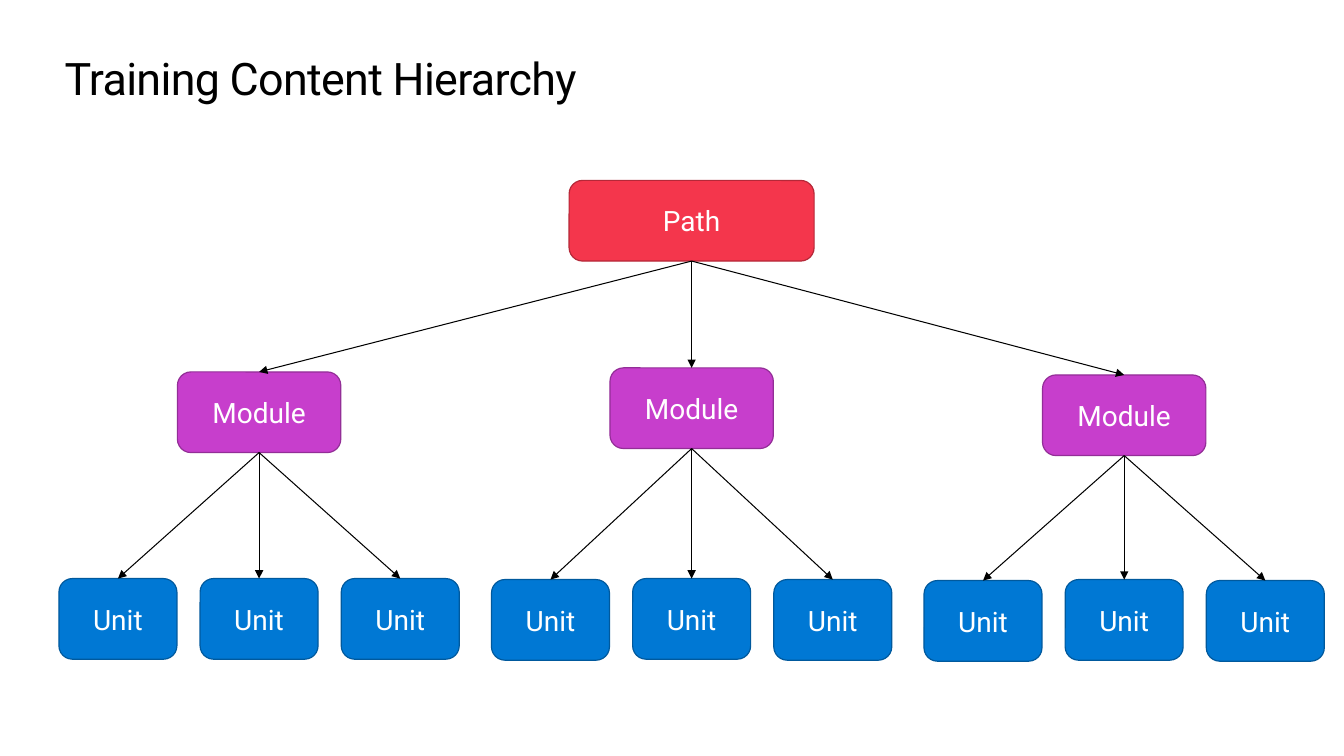
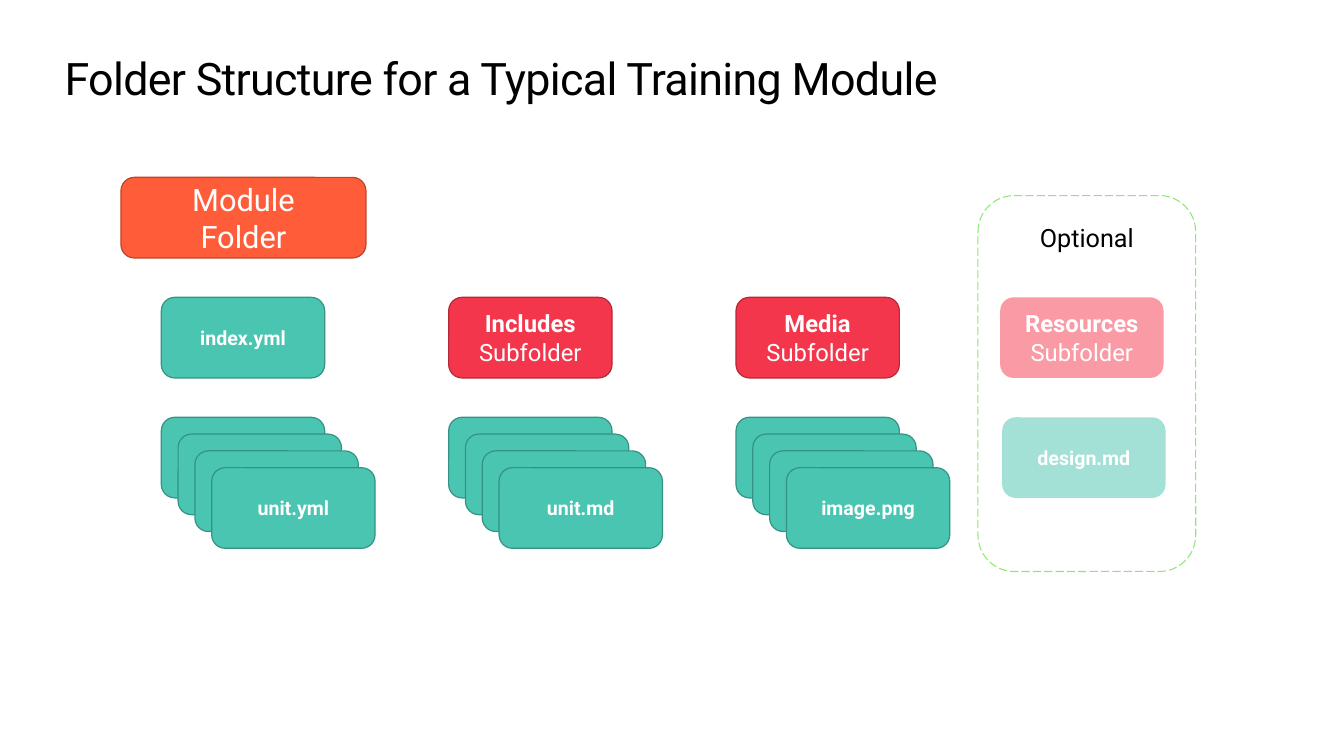
from lxml.etree import SubElement as Sub
from pptx import Presentation
from pptx.dml.color import RGBColor
from pptx.enum.dml import MSO_LINE as Dash
from pptx.enum.shapes import MSO_CONNECTOR as Conn, MSO_SHAPE as Geo
from pptx.enum.text import MSO_ANCHOR as Anchor, PP_ALIGN as Align
from pptx.oxml.ns import qn
from pptx.util import Inches, Pt

FONT = "Roboto"
BLACK, WHITE, LIME = "000000", "FFFFFF", "8DE971"
# Each style is a fill and its border
RED = ("F4364C", "B52838")
PURPLE = ("C73ECC", "932E97")
BLUE = ("0078D4", "00599D")
ORANGE = ("FF5C39", "BD442A")
TEAL = ("49C5B1", "369283")
HIGH, WIDE, MID, SLIM = 0.8, 2.43, 1.62, 1.17


def paint(target, color):
    """Give a fill a solid colour."""
    target.solid()
    target.fore_color.rgb = RGBColor.from_string(color)


def write(frame, text, size=20, color=WHITE, bold=0, align=Align.CENTER,
          anchor=Anchor.MIDDLE, pad=(0.2, 0.16), track=None):
    """Write one paragraph; the first `bold` lines are bold."""
    frame.word_wrap = True
    frame.vertical_anchor = anchor
    frame.margin_left = frame.margin_right = Inches(pad[0])
    frame.margin_top = frame.margin_bottom = Inches(pad[1])
    para = frame.paragraphs[0]
    para.alignment = align
    for i, line in enumerate(text.split("\n")):
        if i:
            para.add_line_break()
        run = para.add_run()
        run.text = line
        font = run.font
        font.name, font.size, font.bold = FONT, Pt(size), i < bold
        paint(font.fill, color)
        if track is not None:
            run._r.get_or_add_rPr().set("spc", str(int(track * 100)))


def card(slide, x, y, w, style, text="", faint=False, **fmt):
    """Add a rounded card; a faint one is half clear with no border."""
    box = slide.shapes.add_shape(Geo.ROUNDED_RECTANGLE, Inches(x), Inches(y),
                                 Inches(w), Inches(HIGH))
    box.shadow.inherit = False
    fill, edge = style
    paint(box.fill, fill)
    if faint:
        tint = box._element.spPr.find(".//" + qn("a:srgbClr"))
        Sub(tint, qn("a:alpha"), val="50000")
        box.line.fill.background()
    else:
        paint(box.line.fill, edge)
        box.line.width = Pt(0.85)
    if text:
        write(box.text_frame, text, **fmt)
    return box


def link(slide, top, low):
    """Draw an arrow from the foot of one card to the head of another."""
    line = slide.shapes.add_connector(
        Conn.STRAIGHT, top.left + top.width // 2, top.top + top.height,
        low.left + low.width // 2, low.top)
    line.begin_connect(top, 2)
    line.end_connect(low, 0)
    paint(line.line.fill, BLACK)
    line.line.width = Pt(0.75)
    props = line._element.spPr
    Sub(props.find(qn("a:ln")), qn("a:tailEnd"), type="triangle")
    Sub(props, qn("a:effectLst"))


def start(deck, title):
    """Add a slide with the shared title."""
    slide = deck.slides.add_slide(deck.slide_layouts[6])
    box = slide.shapes.add_textbox(Inches(0.64), Inches(0.5),
                                   Inches(12.05), Inches(0.54))
    write(box.text_frame, title, size=32, color=BLACK, align=Align.LEFT,
          anchor=Anchor.TOP, pad=(0, 0), track=-0.5)
    return slide


def branch(slide, root, mid, top, rows):
    """Add a module centred on mid, with its units below."""
    module = card(slide, mid - MID / 2, top, MID, PURPLE, "Module")
    link(slide, root, module)
    for i, row in enumerate(rows):
        left = mid + (i - 1) * 1.4 - SLIM / 2
        link(slide, module, card(slide, left, row, SLIM, BLUE, "Unit"))


def tree(deck):
    slide = start(deck, "Training Content Hierarchy")
    mid = 6.86
    root = card(slide, mid - WIDE / 2, 1.79, WIDE, RED, "Path")
    # Module top, then the tops of its units
    rows = [(3.69, (5.74, 5.74, 5.74)),
            (3.65, (5.75, 5.74, 5.75)),
            (3.72, (5.76, 5.75, 5.76))]
    for i, (top, units) in enumerate(rows):
        branch(slide, root, mid + (i - 1) * 4.29, top, units)


def column(slide, x, y, style, head, size, file):
    """Add a head card and a stack of four files below it."""
    card(slide, x, y, MID, style, head, size=size, bold=1)
    for i in range(4):
        shift = i * 0.5 / 3
        card(slide, x + shift, y + 1.19 + shift, MID, TEAL,
             file if i == 3 else "", size=14, bold=1)


def option(slide, x, y, w, h):
    """Add the dashed frame and its faint cards."""
    card(slide, x + 0.22, y + 1.01, MID, RED, "Resources\nSubfolder",
         faint=True, size=17, bold=1)
    card(slide, x + 0.24, y + 2.2, MID, TEAL, "design.md",
         faint=True, size=14, bold=1)
    box = slide.shapes.add_shape(Geo.ROUNDED_RECTANGLE, Inches(x), Inches(y),
                                 Inches(w), Inches(h))
    box.shadow.inherit = False
    box.fill.background()
    paint(box.line.fill, LIME)
    box.line.width = Pt(0.75)
    box.line.dash_style = Dash.LONG_DASH
    write(box.text_frame, "Optional", size=18, color=BLACK, anchor=Anchor.TOP)


def folders(deck):
    slide = start(deck, "Folder Structure for a Typical Training Module")
    card(slide, 1.2, 1.76, WIDE, ORANGE, "Module\nFolder", size=22)
    parts = [(TEAL, "index.yml", 14, "unit.yml"),
             (RED, "Includes\nSubfolder", 17, "unit.md"),
             (RED, "Media\nSubfolder", 17, "image.png")]
    for i, part in enumerate(parts):
        column(slide, 1.6 + i * 2.85, 2.95, *part)
    option(slide, 9.7, 1.94, 2.16, 3.73)


def main():
    deck = Presentation()
    deck.slide_width, deck.slide_height = Inches(13.33), Inches(7.5)
    tree(deck)
    folders(deck)
    deck.save("out.pptx")


if __name__ == "__main__":
    main()
